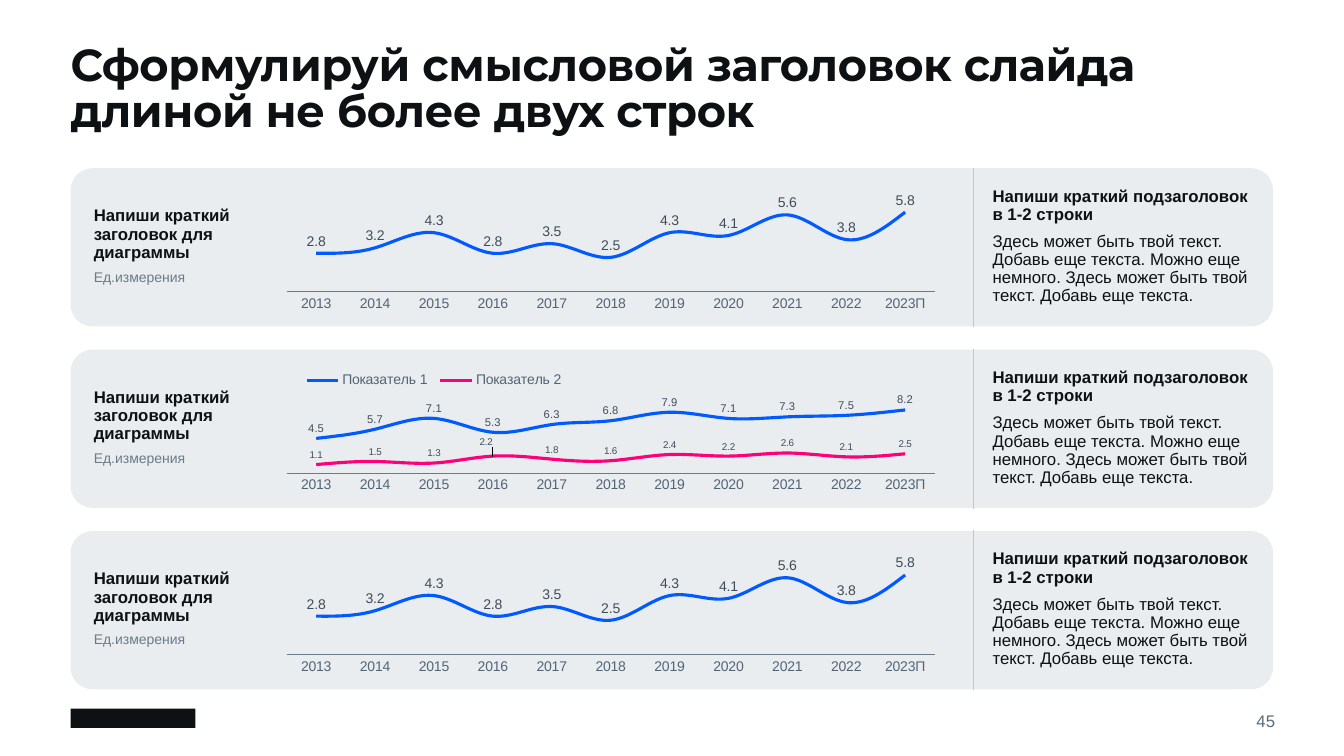
import pptx
import pptx.chart.data
import pptx.dml.color
import pptx.enum.chart
import pptx.enum.shapes
import pptx.enum.text
import pptx.oxml
import pptx.oxml.ns
import pptx.util

Pt = pptx.util.Pt
qn = pptx.oxml.ns.qn
INK, SLATE, GREY, BLUE, PINK = "0E1114", "536476", "6A7B89", "005AFF", "FF0078"
LABEL, CARD, DIVIDER, PAGE = "3F4C5A", "EAEDEF", "C0C8CE", "5A6C7D"
LEFT, WIDTH = 50.4, 859
ROW_TOP, ROW_STEP, ROW_HEIGHT = 120.2, 129.6, 113

YEARS = [str(year) for year in range(2013, 2023)] + ["2023П"]
# Each series: name, values, colour, label size
SINGLE = [("Series 1", [2.8, 3.2, 4.3, 2.8, 3.5, 2.5, 4.3, 4.1, 5.6, 3.8, 5.8], BLUE, 10)]
DOUBLE = [
    ("Показатель 1", [4.5, 5.7, 7.1, 5.3, 6.3, 6.8, 7.9, 7.1, 7.3, 7.5, 8.2], BLUE, 8),
    ("Показатель 2", [1.1, 1.5, 1.3, 2.2, 1.8, 1.6, 2.4, 2.2, 2.6, 2.1, 2.5], PINK, 7),
]


def rgb(value):
    return pptx.dml.color.RGBColor.from_string(value)


def set_font(font, size, color, bold=False, name="Arial"):
    font.name, font.size, font.bold = name, Pt(size), bold
    font.color.rgb = rgb(color)


def add_text(s, box, text, size, color=INK, bold=False, name="Arial",
             spacing=0.9, after=6):
    sp = s.shapes.add_textbox(*map(Pt, box))
    tf = sp.text_frame
    tf.word_wrap = True
    tf.margin_left = tf.margin_right = tf.margin_top = tf.margin_bottom = 0
    p = tf.paragraphs[0]
    p.line_spacing, p.space_after = spacing, Pt(after)
    r = p.add_run()
    r.text = text
    set_font(r.font, size, color, bold, name)
    return sp


def add_block(s, shape_type, box, color):
    sp = s.shapes.add_shape(shape_type, *map(Pt, box))
    sp.shadow.inherit = False
    sp.fill.solid()
    sp.fill.fore_color.rgb = rgb(color)
    sp.line.fill.background()
    return sp


def add_divider(s, x, top, bottom):
    line = s.shapes.add_connector(pptx.enum.shapes.MSO_CONNECTOR.STRAIGHT,
                                  Pt(x), Pt(top), Pt(x), Pt(bottom))
    line.line.color.rgb = rgb(DIVIDER)
    line.line.width = Pt(0.75)
    pptx.oxml.ns  # namespace map used by qn
    line._element.spPr.append(pptx.oxml.parse_xml(
        '<a:effectLst xmlns:a="http://schemas.openxmlformats.org/drawingml/2006/main"/>'))


def set_layout(parent, index, **values):
    """Place a chart part by hand, in fractions of the chart."""
    for old in parent.findall(qn("c:layout")):
        parent.remove(old)
    items = "".join(f'<c:{key} val="{value}"/>' for key, value in values.items())
    parent.insert(index, pptx.oxml.parse_xml(
        '<c:layout xmlns:c="http://schemas.openxmlformats.org/drawingml/2006/chart">'
        f"<c:manualLayout>{items}</c:manualLayout></c:layout>"))


def add_line_chart(s, box, rows, maximum, plot_top, plot_height):
    data = pptx.chart.data.CategoryChartData(number_format="0.0")
    data.categories = YEARS
    for name, values, _, _ in rows:
        data.add_series(name, values)
    chart = s.shapes.add_chart(pptx.enum.chart.XL_CHART_TYPE.LINE,
                               *map(Pt, box), data).chart
    set_font(chart.font, 10, INK)
    chart.has_title = False
    chart.has_legend = len(rows) > 1

    # Axes
    years, values = chart.category_axis, chart.value_axis
    years.major_tick_mark = pptx.enum.chart.XL_TICK_MARK.NONE
    years.format.line.color.rgb = rgb(GREY)
    years.format.line.width = Pt(0.75)
    set_font(years.tick_labels.font, 10, SLATE)
    values.minimum_scale, values.maximum_scale = 0, maximum
    values.has_major_gridlines = False
    values.visible = False

    # Series
    plot = chart.plots[0]
    plot.vary_by_categories = False
    above = pptx.enum.chart.XL_LABEL_POSITION.ABOVE
    for series, (_, _, color, size) in zip(plot.series, rows):
        series.smooth = True
        series.marker.style = pptx.enum.chart.XL_MARKER_STYLE.NONE
        series.format.line.color.rgb = rgb(color)
        series.format.line.width = Pt(2.25)
        labels = series.data_labels
        labels.show_value = True
        labels.position = above
        set_font(labels.font, size, LABEL)

    # Legend, and the one label moved clear of the upper line
    if chart.has_legend:
        legend = chart.legend
        legend.position = pptx.enum.chart.XL_LEGEND_POSITION.TOP
        legend.include_in_layout = False
        set_font(legend.font, 10, SLATE)
        set_layout(legend._element, 1, xMode="edge", yMode="edge",
                   x=0.04, y=0.06, w=0.4, h=0.13)
        label = plot.series[1].points[3].data_label
        label.position = above
        set_font(label.font, 7, LABEL)
        item = plot.series[1].data_labels._element.find(qn("c:dLbl"))
        set_layout(item, 1, x=-0.01, y=-0.03)

    set_layout(chart._chartSpace.chart.plotArea, 0, layoutTarget="inner",
               xMode="edge", yMode="edge", x=0.023, y=plot_top, w=0.955, h=plot_height)


def add_row(s, top, rows, maximum, plot_top, plot_height):
    card = add_block(s, pptx.enum.shapes.MSO_SHAPE.ROUNDED_RECTANGLE,
                     (LEFT, top, WIDTH, ROW_HEIGHT), CARD)
    card.adjustments[0] = 0.139
    add_line_chart(s, (193.7, top + 8.6, 484.6, 105.1), rows, maximum,
                   plot_top, plot_height)
    add_divider(s, 695.5, top - 0.5, top + ROW_HEIGHT + 0.5)
    add_text(s, (67, top + 28, 114, 38), "Напиши краткий заголовок для диаграммы",
             12, bold=True)
    add_text(s, (67, top + 72.6, 114, 13.7), "Ед.измерения", 10, GREY)
    add_text(s, (709, top + 13.8, 188, 25), "Напиши краткий подзаголовок в 1-2 строки",
             12, bold=True)
    add_text(s, (709, top + 46.2, 188, 54),
             "Здесь может быть твой текст. Добавь еще текста. Можно еще немного. "
             "Здесь может быть твой текст. Добавь еще текста.", 12)


def main():
    prs = pptx.Presentation()
    prs.slide_width, prs.slide_height = Pt(960), Pt(540)
    s = prs.slides.add_slide(prs.slide_layouts[6])

    # Footer: plain mark and page number
    add_block(s, pptx.enum.shapes.MSO_SHAPE.RECTANGLE, (LEFT, 506.2, 89.3, 13.7), INK)
    number = add_text(s, (839.5, 506.2, 71.3, 17.3), "45", 12, PAGE, spacing=1, after=0)
    number.text_frame.vertical_anchor = pptx.enum.text.MSO_ANCHOR.MIDDLE
    number.text_frame.paragraphs[0].alignment = pptx.enum.text.PP_ALIGN.RIGHT

    # Title
    title = add_text(s, (LEFT, 32.4, WIDTH, 54),
                     "Сформулируй смысловой заголовок слайда длиной не более двух строк",
                     32, bold=True, name="Montserrat", spacing=0.85, after=0)
    title.text_frame.paragraphs[0].runs[0].font._element.set("spc", "-30")

    # Chart rows
    single, double = (SINGLE, 7, 0.105, 0.652), (DOUBLE, 9, 0.286, 0.471)
    for i, content in enumerate((single, double, single)):
        add_row(s, ROW_TOP + i * ROW_STEP, *content)

    prs.save("out.pptx")


if __name__ == "__main__":
    main()
